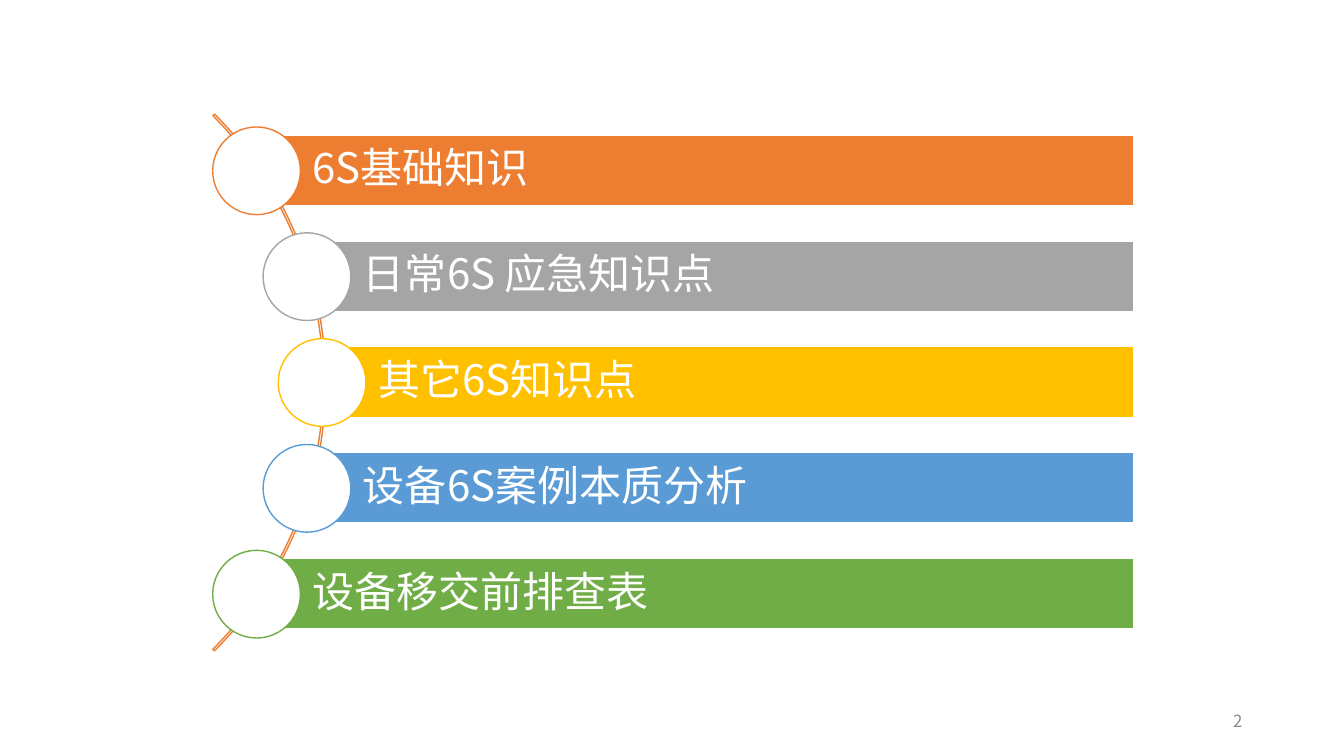
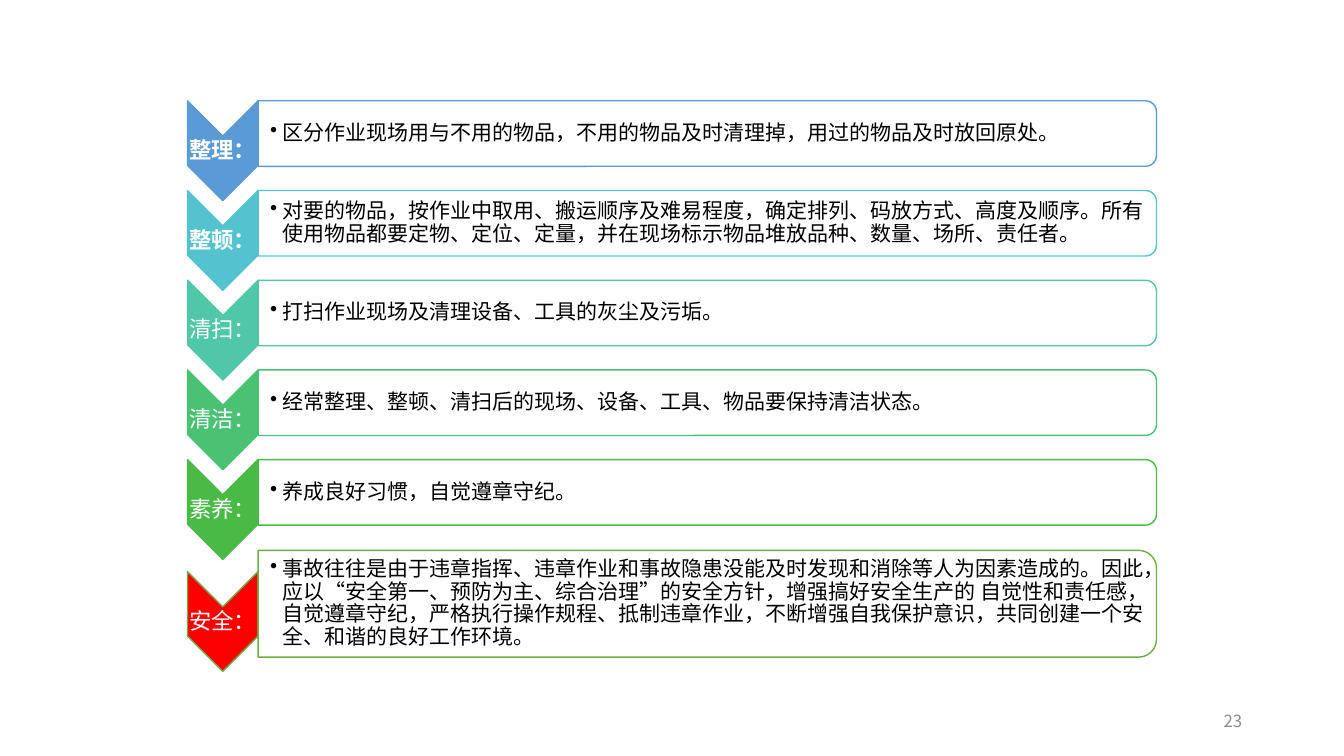
"""Build two 6S slides: an arc-shaped agenda and a chevron list of definitions."""
from lxml import etree
from pptx import Presentation, util as u
from pptx.dml import color as dml
from pptx.enum import shapes, text
from pptx.oxml import ns

PX = 9144
FONT = "Noto Sans CJK SC"
COLORS = {
    "white": "FFFFFF", "black": "000000", "number": "8C8C8C",
    "orange": "ED7D31", "gray": "A5A5A5", "gold": "FFC000",
    "blue": "5B9BD5", "green": "70AD47", "cyan": "55C3CF",
    "teal": "50C8A7", "mint": "4BC174", "leaf": "4ABA46", "red": "FF0000",
}
RGB = {name: dml.RGBColor.from_string(value) for name, value in COLORS.items()}


def add_shape(slide, kind, frame, fill, line, rotated=False):
    """Add a shape that covers the frame, optionally turned by 90 degrees."""
    left, top, width, height = (length * PX for length in frame)
    if rotated:
        left, top = left + (width - height) // 2, top + (height - width) // 2
        width, height = height, width
    shape = slide.shapes.add_shape(kind, left, top, width, height)
    shape.rotation = 90 if rotated else 0
    shape.shadow.inherit = False
    if fill:
        shape.fill.solid()
        shape.fill.fore_color.rgb = RGB[fill]
    else:
        shape.fill.background()
    shape.line.color.rgb = RGB[line]
    shape.line.width = u.Pt(1)
    return shape


def add_text(shape, words, size, color, align, margins, spacing=0.9, bold=False, bullet=False):
    """Write one paragraph into a shape, centred vertically."""
    frame = shape.text_frame
    frame.word_wrap = True
    frame.vertical_anchor = text.MSO_ANCHOR.MIDDLE
    frame.margin_left, frame.margin_top, frame.margin_right, frame.margin_bottom = (
        margin * PX for margin in margins)
    paragraph = frame.paragraphs[0]
    if bullet:
        properties = paragraph._p.get_or_add_pPr()
        properties.set("marL", str(12 * PX))
        properties.set("indent", str(-12 * PX))
        etree.SubElement(properties, ns.qn("a:buChar")).set("char", "•")
    paragraph.alignment = align
    paragraph.line_spacing = spacing
    run = paragraph.add_run()
    run.text = words
    run.font.name = FONT
    run.font.size = u.Pt(size)
    run.font.bold = bold
    run.font.color.rgb = RGB[color]
    etree.SubElement(run._r.get_or_add_rPr(), ns.qn("a:ea")).set("typeface", FONT)


presentation = Presentation()
presentation.slide_width, presentation.slide_height = 1333 * PX, 750 * PX
LEFT, CENTER, RIGHT = text.PP_ALIGN.LEFT, text.PP_ALIGN.CENTER, text.PP_ALIGN.RIGHT
KINDS = shapes.MSO_SHAPE

slides = []
for number in ("2", "23"):
    slide = presentation.slides.add_slide(presentation.slide_layouts[6])
    box = slide.shapes.add_textbox(942 * PX, 695 * PX, 300 * PX, 40 * PX)
    add_text(box, number, 12, "number", RIGHT, (10, 5, 10, 5), spacing=1.0)
    slides.append(slide)
agenda_slide, definition_slide = slides

arc = add_shape(agenda_slide, KINDS.BLOCK_ARC, (-430, 3, 753, 753), None, "orange")
for index, value in enumerate((189, 27, 0.003)):
    arc.adjustments[index] = value

AGENDA = [
    (255, "orange", "6S基础知识"),
    (305, "gray", "日常6S 应急知识点"),
    (320, "gold", "其它6S知识点"),
    (305, "blue", "设备6S案例本质分析"),
    (255, "green", "设备移交前排查表"),
]
BAR_RIGHT = 1124
for row, (left, color, words) in enumerate(AGENDA):
    top = 134 + 105 * row
    bar = add_shape(agenda_slide, KINDS.RECTANGLE, (left, top, BAR_RIGHT - left, 70), color, "white")
    add_text(bar, words, 30, "white", LEFT, (55, 8, 8, 8))
    add_shape(agenda_slide, KINDS.OVAL, (left - 44, top - 8, 87, 87), "white", color)

DEFINITIONS = [
    ("整理：", "blue", "blue", True,
     "区分作业现场用与不用的物品，不用的物品及时清理掉，用过的物品及时放回原处。"),
    ("整顿：", "cyan", "cyan", True,
     "对要的物品，按作业中取用、搬运顺序及难易程度，确定排列、码放方式、高度及顺序。"
     "所有使用物品都要定物、定位、定量，并在现场标示物品堆放品种、数量、场所、责任者。"),
    ("清扫：", "teal", "teal", False, "打扫作业现场及清理设备、工具的灰尘及污垢。"),
    ("清洁：", "mint", "mint", False, "经常整理、整顿、清扫后的现场、设备、工具、物品要保持清洁状态。"),
    ("素养：", "leaf", "leaf", False, "养成良好习惯，自觉遵章守纪。"),
    ("安全：", "red", "green", False,
     "事故往往是由于违章指挥、违章作业和事故隐患没能及时发现和消除等人为因素造成的。"
     "因此，应以“安全第一、预防为主、综合治理”的安全方针，增强搞好安全生产的 自觉性和责任感，"
     "自觉遵章守纪，严格执行操作规程、抵制违章作业，不断增强自我保护意识，"
     "共同创建一个安全、和谐的良好工作环境。"),
]
for row, (label, fill, line, bold, words) in enumerate(DEFINITIONS):
    last = row == len(DEFINITIONS) - 1
    top = 100 + 89 * row + last
    chevron_top = top + 21 * last
    height, inset = (106, 5) if last else (65, 3)

    add_shape(definition_slide, KINDS.CHEVRON, (186, chevron_top, 70, 99), fill, line, rotated=True)
    box = definition_slide.shapes.add_textbox(186 * PX, (chevron_top + 35) * PX, 70 * PX, 30 * PX)
    add_text(box, label, 16, "white", CENTER, (1, 1, 1, 1), bold=bold)

    panel = add_shape(definition_slide, KINDS.ROUND_2_SAME_RECTANGLE,
                      (256, top, 891, height), "white", line, rotated=True)
    panel_fill = panel._element.spPr.find(".//" + ns.qn("a:srgbClr"))
    etree.SubElement(panel_fill, ns.qn("a:alpha")).set("val", "90000")
    box = definition_slide.shapes.add_textbox(
        256 * PX, (top + inset) * PX, (891 - inset) * PX, (height - 2 * inset) * PX)
    add_text(box, words, 15, "black", LEFT, (12, 1, 1, 1), bullet=True)

presentation.save("out.pptx")
